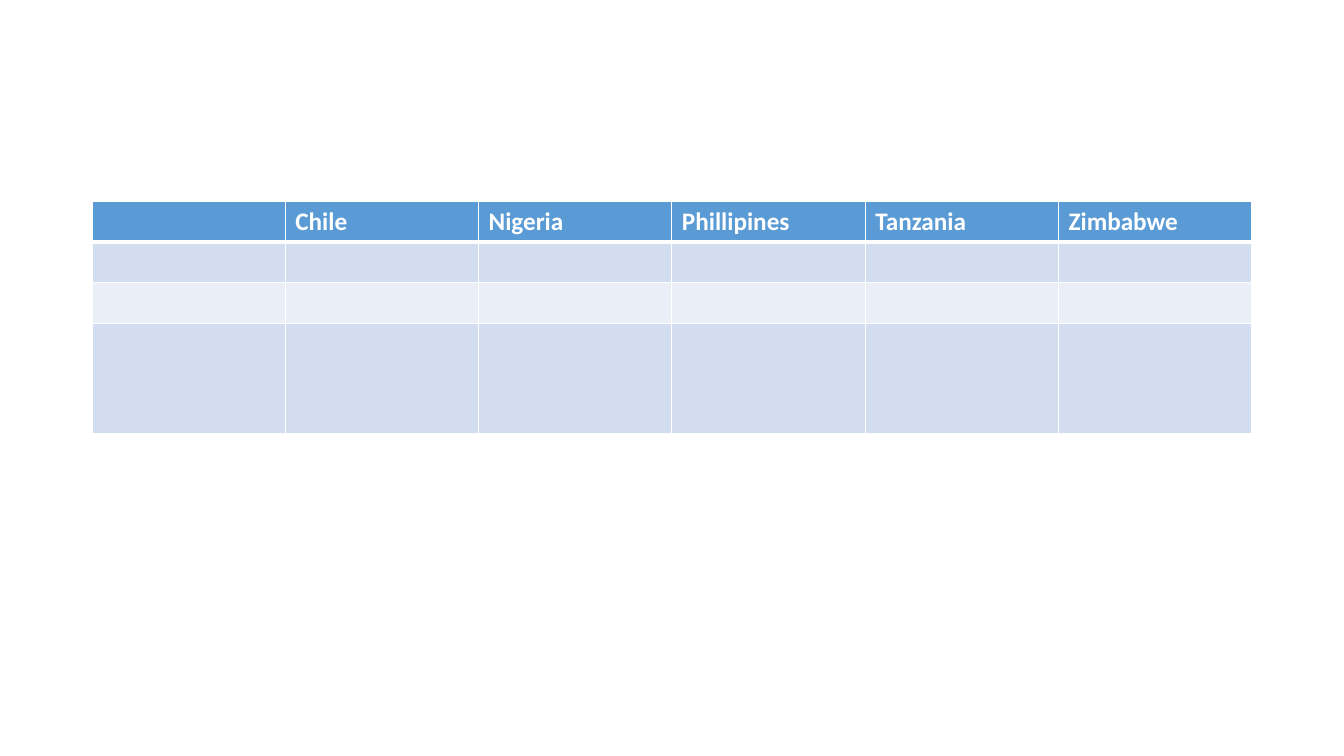
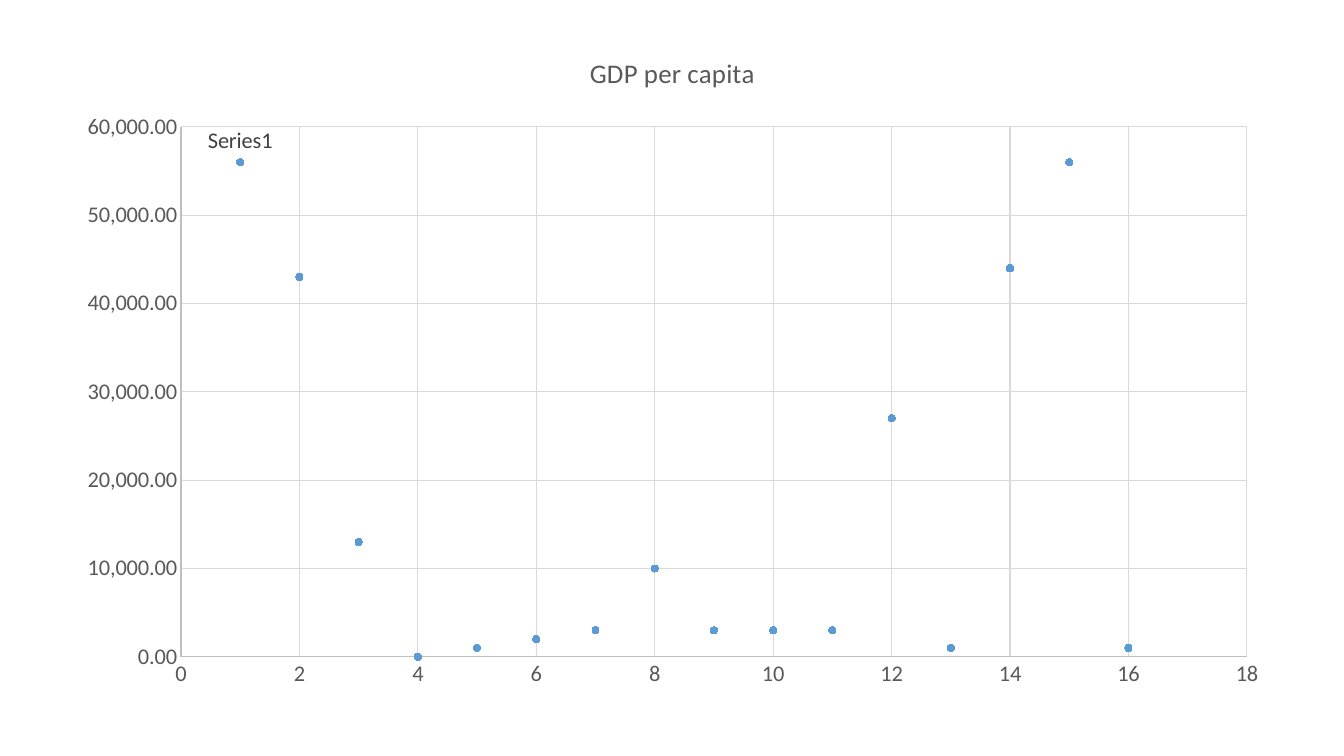
from lxml import etree
from pptx import Presentation
from pptx import util as u
from pptx.chart.data import XyChartData
from pptx.dml.color import RGBColor
from pptx.enum import chart as charts
from pptx.oxml import parse_xml
from pptx.oxml.ns import nsdecls, qn

# Content
COUNTRIES = ["", "Chile", "Nigeria", "Phillipines", "Tanzania", "Zimbabwe"]
CHART_TITLE = "GDP per capita"
SERIES_NAME = "Series1"
GDP = [56000, 43000, 13000, 0, 1000, 2000, 3000, 10000,
       3000, 3000, 3000, 27000, 1000, 44000, 56000, 1000]

# Shared style
FONT = "Calibri"
WHITE = RGBColor(0xFF, 0xFF, 0xFF)
BLUE = RGBColor(0x5B, 0x9B, 0xD5)
BAND_DARK = RGBColor(0xD2, 0xDE, 0xEF)
BAND_LIGHT = RGBColor(0xEA, 0xEF, 0xF7)
GREY_TEXT = RGBColor(0x59, 0x59, 0x59)
LABEL_TEXT = RGBColor(0x40, 0x40, 0x40)
AXIS_LINE = RGBColor(0xBF, 0xBF, 0xBF)
GRID_LINE = RGBColor(0xD9, 0xD9, 0xD9)

# Geometry in px: left, top, width, height
SLIDE_SIZE = (1344, 756)
TABLE_BOX = (92, 201, 1160, 230)
ROWS = [(40, BLUE), (40, BAND_DARK), (40, BAND_LIGHT), (110, BAND_DARK)]
CHART_BOX = (63, 31, 1219, 670)
PLOT_BOX = (181, 127, 1066, 530)
TITLE_CORNER = (585, 49)


def px(length):
    return u.Emu(round(length * 914400 / 100.8))


def format_font(font, size, color, bold=False):
    font.name = FONT
    font.size = u.Pt(size)
    font.bold = bold
    font.color.rgb = color


def write_text(frame, text, size=18, color=WHITE, bold=False):
    frame.text = text
    paragraph = frame.paragraphs[0]
    format_font(paragraph.font, size, color, bold)
    for run in paragraph.runs:
        format_font(run.font, size, color, bold)


def set_borders(cell, bottom):
    properties = cell._tc.get_or_add_tcPr()
    for side, width in (("L", 1), ("R", 1), ("T", 1), ("B", bottom)):
        properties.append(parse_xml(
            f'<a:ln{side} {nsdecls("a")} w="{u.Pt(width)}"><a:solidFill>'
            f'<a:srgbClr val="{WHITE}"/></a:solidFill></a:ln{side}>'))


def place(element, **values):
    """Give a chart part a manual layout in fractions of the chart."""
    for old in element.findall(qn("c:layout")):
        element.remove(old)
    layout = parse_xml(f'<c:layout {nsdecls("c")}><c:manualLayout/></c:layout>')
    for tag, value in values.items():
        etree.SubElement(layout[0], qn(f"c:{tag}")).set("val", str(value))
    return layout


def add_country_table(slide):
    shape = slide.shapes.add_table(len(ROWS), len(COUNTRIES), *map(px, TABLE_BOX))
    table = shape.table
    for column in table.columns:
        column.width = px(TABLE_BOX[2] / len(COUNTRIES))
    for index, (height, color) in enumerate(ROWS):
        table.rows[index].height = px(height)
        for cell, country in zip(table.rows[index].cells, COUNTRIES):
            header = index == 0
            set_borders(cell, bottom=3 if header else 1)
            cell.fill.solid()
            cell.fill.fore_color.rgb = color
            write_text(cell.text_frame, country if header else "", bold=header)


def format_axis(axis, maximum, unit, number_format):
    axis.minimum_scale, axis.maximum_scale, axis.major_unit = 0, maximum, unit
    axis.major_tick_mark = axis.minor_tick_mark = charts.XL_TICK_MARK.NONE
    axis.has_major_gridlines = True
    axis.tick_labels.number_format = number_format
    axis.tick_labels.number_format_is_linked = False
    format_font(axis.tick_labels.font, 16, GREY_TEXT)
    for line, color in ((axis.format.line, AXIS_LINE),
                        (axis.major_gridlines.format.line, GRID_LINE)):
        line.color.rgb = color
        line.width = u.Pt(0.75)


def format_series(series):
    series.format.line.fill.background()
    series.marker.style = charts.XL_MARKER_STYLE.CIRCLE
    series.marker.size = 5
    series.marker.format.fill.solid()
    series.marker.format.fill.fore_color.rgb = BLUE
    series.marker.format.line.color.rgb = BLUE

    # The first point carries the series name
    label = series.points[0].data_label
    format_font(label.font, 16, LABEL_TEXT)
    label.position = charts.XL_LABEL_POSITION.ABOVE
    for flag in series._element.iter(qn("c:showVal")):
        flag.set("val", "0")
    for flag in series._element.xpath(".//c:dLbl/c:showSerName"):
        flag.set("val", "1")


def add_gdp_chart(slide):
    data = XyChartData()
    points = data.add_series(SERIES_NAME)
    for position, value in enumerate(GDP, start=1):
        points.add_data_point(position, value)
    chart = slide.shapes.add_chart(
        charts.XL_CHART_TYPE.XY_SCATTER, *map(px, CHART_BOX), data).chart
    chart.has_legend = False
    chart.plots[0].vary_by_categories = False
    format_font(chart.font, 16, GREY_TEXT)
    format_axis(chart.category_axis, 18, 2, "General")
    format_axis(chart.value_axis, 60000, 10000, "#,##0.00")
    format_series(chart.plots[0].series[0])

    # Title and plot area positions
    chart.has_title = True
    write_text(chart.chart_title.text_frame, CHART_TITLE, size=19.2, color=GREY_TEXT)
    left, top, width, height = CHART_BOX
    title = chart.chart_title._element
    title.find(qn("c:tx")).addnext(place(
        title, xMode="edge", yMode="edge",
        x=(TITLE_CORNER[0] - left) / width, y=(TITLE_CORNER[1] - top) / height))
    plot_area = chart._chartSpace.chart.plotArea
    plot_area.insert(0, place(
        plot_area, layoutTarget="inner", xMode="edge", yMode="edge",
        x=(PLOT_BOX[0] - left) / width, y=(PLOT_BOX[1] - top) / height,
        w=PLOT_BOX[2] / width, h=PLOT_BOX[3] / height))


def main():
    presentation = Presentation()
    presentation.slide_width, presentation.slide_height = map(px, SLIDE_SIZE)
    blank = presentation.slide_layouts[6]
    for build in (add_country_table, add_gdp_chart):
        build(presentation.slides.add_slide(blank))
    presentation.save("out.pptx")


if __name__ == "__main__":
    main()
